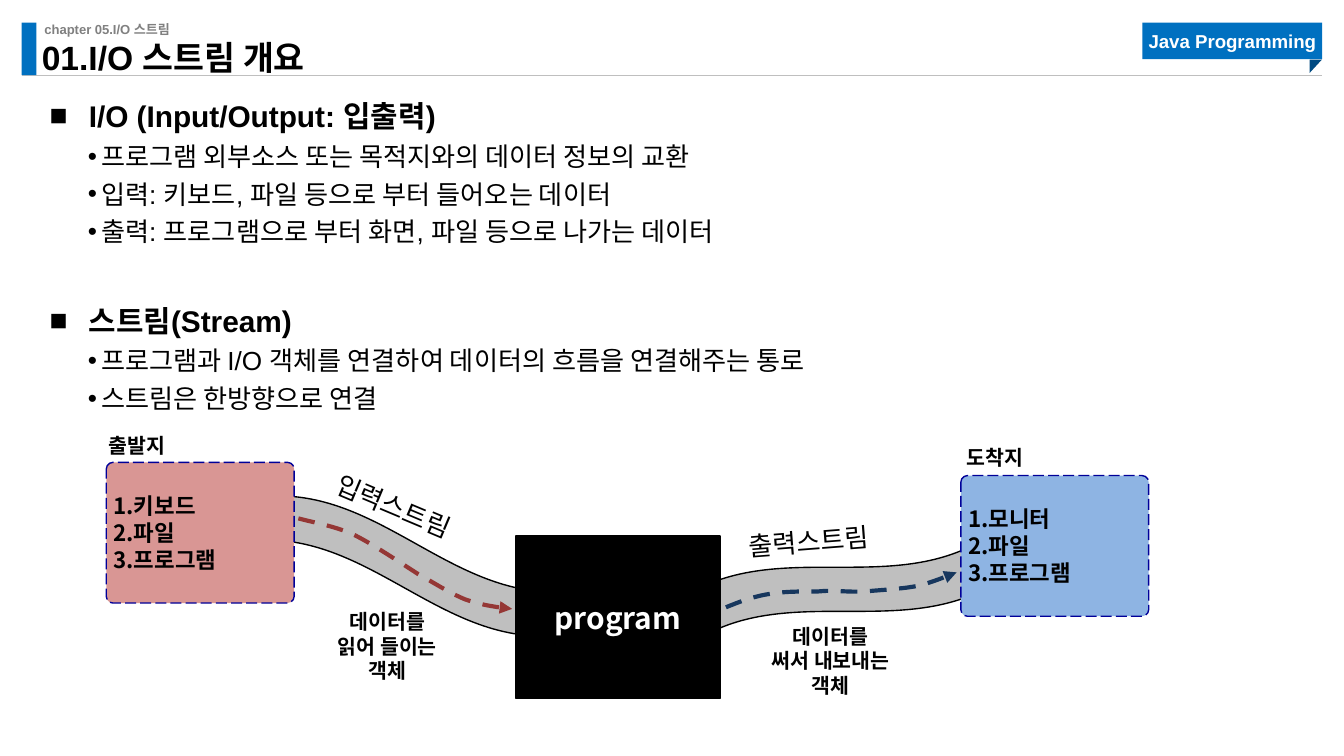
from dataclasses import dataclass
from lxml.etree import SubElement as Sub
from pptx import Presentation
from pptx.dml.color import RGBColor as Rgb
from pptx.enum.dml import MSO_LINE as Dash
from pptx.enum.shapes import MSO_CONNECTOR as Link, MSO_SHAPE as Kind
from pptx.enum.text import MSO_ANCHOR as Anchor, PP_ALIGN as Align
from pptx.oxml.ns import qn
from pptx.util import Cm, Pt


@dataclass(frozen=True)
class Theme:
    latin: str = "Arial"
    hangul: str = "Noto Sans CJK KR"
    black: str = "000000"
    white: str = "FFFFFF"
    gray: str = "808080"
    rule: str = "BFBFBF"
    blue: str = "0070C0"
    fold: str = "004A82"
    navy: str = "17375E"
    red: str = "953735"
    edge: str = "000099"
    pink: str = "D99694"
    sky: str = "8EB4E3"
    title: int = 18
    head: int = 16
    body: int = 14
    item: int = 12
    note: int = 11
    badge: int = 10
    tiny: int = 7


T = Theme()


def write(shape, text, size, color=T.black, bold=False, font=T.hangul,
          align=Align.LEFT, anchor=Anchor.TOP, pad=(0, 0), left=None,
          space=None, before=0, bullet=None):
    """Fill a shape with one paragraph per line of text."""
    frame = shape.text_frame
    frame.word_wrap = True
    frame.vertical_anchor = anchor
    frame.margin_left = Cm(pad[0] if left is None else left)
    frame.margin_right = Cm(pad[0])
    frame.margin_top = frame.margin_bottom = Cm(pad[1])
    for i, line in enumerate(text.split("\n")):
        para = frame.add_paragraph() if i else frame.paragraphs[0]
        para.alignment = align
        para.space_before = Pt(before)
        if space:
            para.line_spacing = space
        if bullet:
            mark, start, hang = bullet
            prop = para._p.get_or_add_pPr()
            prop.set("marL", str(Cm(start)))
            prop.set("indent", str(-Cm(hang)))
            Sub(prop, qn("a:buFont"), typeface=T.latin)
            Sub(prop, qn("a:buChar"), char=mark)
        run = para.add_run()
        run.text = line
        run.font.size, run.font.bold = Pt(size), bold
        run.font.name = font
        run.font.color.rgb = Rgb.from_string(color)
        Sub(run._r.get_or_add_rPr(), qn("a:ea"), typeface=T.hangul)


class Deck:
    def __init__(self, wide, high):
        self.show = Presentation()
        self.show.slide_width, self.show.slide_height = Cm(wide), Cm(high)
        self.slide = self.show.slides.add_slide(self.show.slide_layouts[5])
        self.items = self.slide.shapes

    def title(self, text, box, **style):
        shape = self.items.title
        shape.left, shape.top, shape.width, shape.height = map(Cm, box)
        write(shape, text, T.title, **style)

    def text(self, text, box, size, turn=0, **style):
        shape = self.items.add_textbox(*map(Cm, box))
        shape.rotation = turn
        write(shape, text, size, **style)

    def shape(self, kind, box, fill, line=None, dash=None, turn=0, adj=()):
        shape = self.items.add_shape(kind, *map(Cm, box))
        shape.shadow.inherit = False
        shape.rotation = turn
        for i, value in enumerate(adj):
            shape.adjustments[i] = value
        shape.fill.solid()
        shape.fill.fore_color.rgb = Rgb.from_string(fill)
        if line:
            self.ink(shape, line, 0.75, dash)
        else:
            shape.line.fill.background()
        return shape

    def ink(self, shape, color, width, dash=None):
        shape.line.color.rgb = Rgb.from_string(color)
        shape.line.width = Pt(width)
        if dash:
            shape.line.dash_style = dash

    def rule(self, x, y, end, color):
        line = self.items.add_connector(Link.STRAIGHT, Cm(x), Cm(y), Cm(end), Cm(y))
        self.ink(line, color, 0.5)
        Sub(line._element.spPr, qn("a:effectLst"))

    def curve(self, start, bends, color, steps=12):
        """Draw a dashed arrow along joined cubic curves."""
        dots, (x, y) = [], start
        for a, b, c, d, e, f in bends:
            for i in range(1, steps + 1):
                t = i / steps
                u = 1 - t
                k = u**3, 3 * u * u * t, 3 * u * t * t, t**3
                dots.append(tuple(Cm(sum(m * n for m, n in zip(k, axis)))
                                  for axis in ((x, a, c, e), (y, b, d, f))))
            x, y = e, f
        form = self.items.build_freeform(*map(Cm, start))
        form.add_line_segments(dots, close=False)
        shape = form.convert_to_shape()
        shape.shadow.inherit = False
        shape.fill.background()
        self.ink(shape, color, 2.25, Dash.DASH)
        Sub(shape.line._get_or_add_ln(), qn("a:tailEnd"), type="triangle")


deck = Deck(25.4, 14.29)

# Header
deck.rule(0.41, 1.42, 24.99, T.rule)
deck.shape(Kind.RECTANGLE, (0.41, 0.43, 0.28, 0.99), T.blue)
deck.text("chapter 05.I/O 스트림", (0.84, 0.41, 8.2, 0.3), T.tiny,
          color=T.gray, bold=True, font=T.latin)
badge = deck.shape(Kind.RECTANGLE, (21.59, 0.43, 3.4, 0.69), T.blue)
write(badge, "Java Programming", T.badge, color=T.white, bold=True,
      font=T.latin, align=Align.CENTER, anchor=Anchor.MIDDLE)
deck.shape(Kind.RIGHT_TRIANGLE, (24.74, 1.14, 0.25, 0.23), T.fold, turn=90)
deck.title("01.I/O 스트림 개요", (0.79, 0.89, 8.38, 0.58), bold=True,
           font=T.latin, anchor=Anchor.BOTTOM, space=0.9)

# Headings with their points
topics = [
    (1.5, 2.54, "I/O (Input/Output: 입출력)",
     "프로그램 외부소스 또는 목적지와의 데이터 정보의 교환\n"
     "입력: 키보드, 파일 등으로 부터 들어오는 데이터\n"
     "출력: 프로그램으로 부터 화면, 파일 등으로 나가는 데이터"),
    (5.38, 6.4, "스트림(Stream)",
     "프로그램과 I/O 객체를 연결하여 데이터의 흐름을 연결해주는 통로\n"
     "스트림은 한방향으로 연결"),
]
for top, low, head, points in topics:
    deck.text(head, (0.94, top, 24.23, 0.84), T.head, bold=True,
              font=T.latin, space=1.5, bullet=("■", 0.74, 0.74))
    high = 0.77 * len(points.split("\n"))
    deck.text(points, (0.89, low, 21.72, high), T.body, font=T.latin,
              space=1.2, bullet=("•", 1.02, 0.25))

# Stream bands and program
for x, y, turn in [(13.11, 10.52, 350.2), (4.98, 10.08, 19.3)]:
    deck.shape(Kind.WAVE, (x, y, 5.56, 1.24), T.rule, T.black,
               turn=turn, adj=(0.154, 0.006))
core = deck.shape(Kind.RECTANGLE, (9.75, 10.13, 3.86, 3.07), T.black, T.black)
write(core, "program", T.head, color=T.white, bold=True,
      align=Align.CENTER, anchor=Anchor.MIDDLE)

# Source and target
ends = [
    (2.01, 8.74, T.pink, "키보드", "출발지", (1.8, 8.05)),
    (18.16, 8.99, T.sky, "모니터", "도착지", (18.01, 8.28)),
]
for x, y, fill, first, name, spot in ends:
    box = deck.shape(Kind.ROUNDED_RECTANGLE, (x, y, 3.55, 2.66), fill,
                     T.edge, Dash.LONG_DASH, adj=(0.047,))
    write(box, f"1.{first}\n2.파일\n3.프로그램", T.item, bold=True,
          anchor=Anchor.MIDDLE, left=0.1)
    deck.text(name, (*spot, 2.6, 0.95), T.note, bold=True,
              pad=(0.25, 0.13), before=2.2)

# Flow arrows
deck.curve((5.64, 9.8), [
    (5.94, 9.88, 6.25, 9.93, 6.63, 10.08),
    (7.01, 10.26, 7.54, 10.62, 7.9, 10.85),
    (8.26, 11.05, 8.48, 11.2, 8.79, 11.33),
    (9.07, 11.43, 9.37, 11.48, 9.68, 11.51)], T.red)
deck.curve((13.72, 11.48), [
    (13.97, 11.38, 14.22, 11.28, 14.53, 11.23),
    (14.81, 11.18, 15.16, 11.18, 15.47, 11.18),
    (15.77, 11.15, 16.03, 11.2, 16.36, 11.18),
    (16.69, 11.15, 17.09, 11.13, 17.37, 11.07),
    (17.65, 11, 18.08, 10.82, 18.08, 10.82)], T.navy)

# Stream names and captions
flows = [
    ("입력스트림", (6.02, 9.25), 22.8, "읽어 들이는", (5.23, 11.38)),
    ("출력스트림", (13.89, 9.78), 355.5, "써서 내보내는", (13.61, 11.66)),
]
for name, spot, turn, verb, low in flows:
    deck.text(name, (*spot, 3.38, 0.91), T.body, turn=turn,
              pad=(0.25, 0.13), before=2.8)
    deck.text(f"데이터를\n{verb}\n객체", (*low, 4.18, 1.68), T.note,
              bold=True, align=Align.CENTER, pad=(0.25, 0.13))

deck.show.save("out.pptx")
